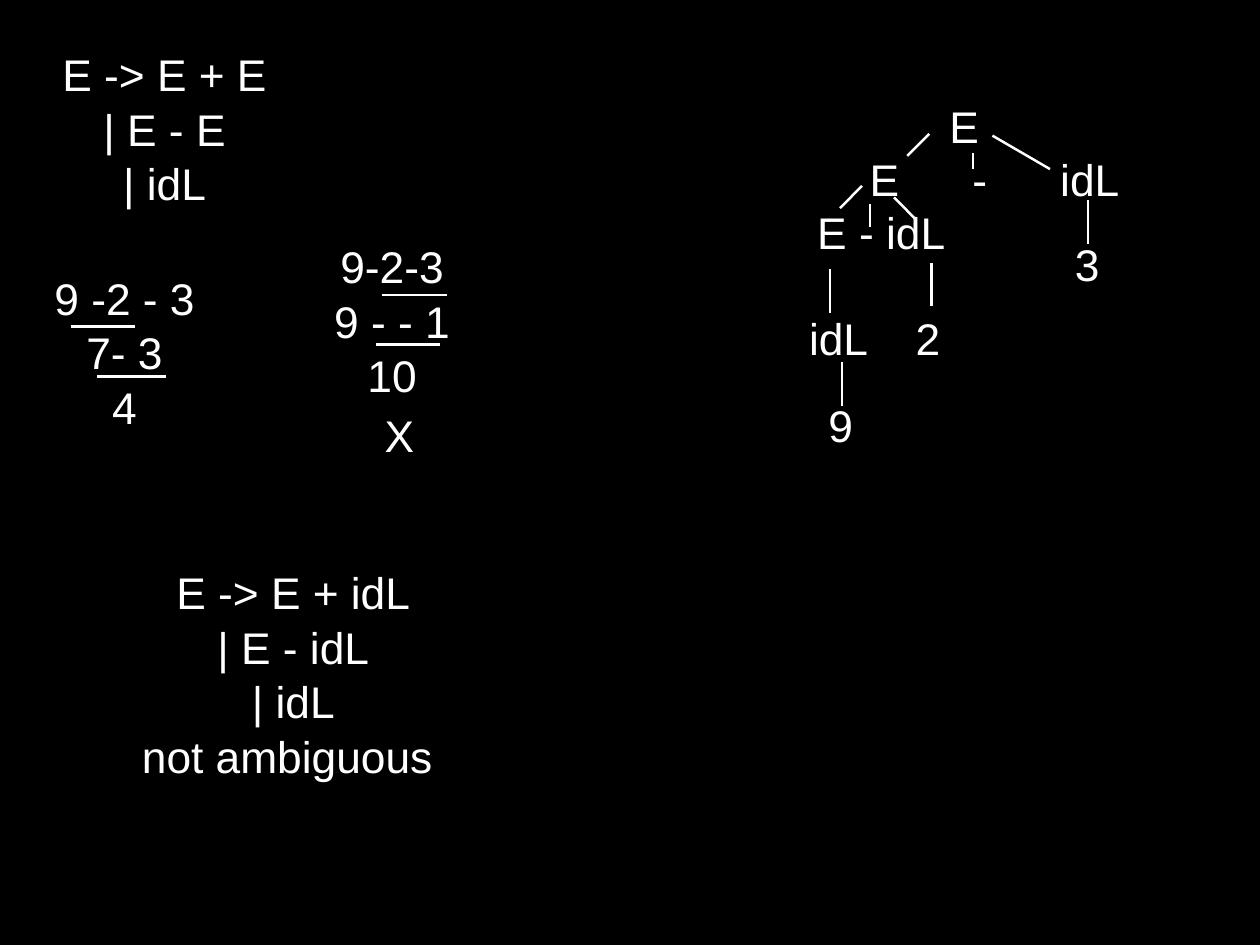
from dataclasses import dataclass

from lxml import etree
from pptx import Presentation
from pptx.dml.color import RGBColor
from pptx.enum import shapes, text
from pptx.oxml import ns
from pptx.util import Cm, Pt

COLORS = {"board": "000000", "chalk": "FFFFFF"}
LINE_HEIGHT = 1.52


@dataclass
class Label:
    """Centred lines of text; cx, cy is the middle of the block in cm."""
    cx: float
    cy: float
    content: str
    width: float = 2.4


@dataclass
class Stroke:
    """A straight line between two points in cm."""
    x1: float
    y1: float
    x2: float
    y2: float


# Grammars and evaluations
BLOCKS = [
    Label(4.72, 3.66, "E -> E + E\n| E - E\n| idL", 6.6),
    Label(3.57, 10.08, "9 -2 - 3\n7- 3\n4", 4.8),
    Label(11.24, 9.17, "9-2-3\n9 - - 1\n10", 4.2),
    Label(11.45, 12.46, "X"),
    Label(8.41, 19.3, "E -> E + idL\n| E - idL\n| idL\nnot ambiguous ", 9.6),
]
UNDERLINES = [
    Stroke(2.03, 9.37, 3.86, 9.37),
    Stroke(2.79, 10.8, 4.75, 10.8),
    Stroke(10.95, 8.46, 12.8, 8.46),
    Stroke(10.77, 9.88, 12.62, 9.88),
]

# Parse tree of 9 - 2 - 3: nodes by row, then branches
TREE_ROWS = [
    (3.62, [("E", 27.64)]),
    (5.14, [("E", 25.35), ("-", 28.09), ("idL", 31.24)]),
    (6.66, [("E", 23.85), ("-", 24.84), ("idL", 26.25)]),
    (7.56, [("3", 31.17)]),
    (9.7, [("idL", 24.04), ("2", 26.6)]),
    (12.18, [("9", 24.1)]),
]
NODES = [Label(x, y, name) for y, row in TREE_ROWS for name, x in row]
BRANCHES = [
    Stroke(26.64, 3.84, 26.01, 4.47),
    Stroke(27.89, 4.39, 27.89, 4.85),
    Stroke(28.45, 3.89, 30.1, 4.85),
    Stroke(24.71, 5.33, 24.08, 5.97),
    Stroke(24.94, 5.84, 24.94, 6.5),
    Stroke(25.63, 5.66, 26.26, 6.3),
    Stroke(31.19, 5.74, 31.19, 6.99),
    Stroke(23.8, 7.72, 23.8, 8.97),
    Stroke(26.7, 7.54, 26.7, 8.79),
    Stroke(24.13, 10.39, 24.13, 11.63),
]


def add_run(p, content: str, *, size: float = 36, font: str = "Arial",
            color: str = "chalk") -> None:
    r = p.add_run()
    r.text = content
    r.font.size = Pt(size)
    r.font.name = font
    r.font.color.rgb = RGBColor.from_string(COLORS[color])


def draw_label(slide, label: Label) -> None:
    lines = label.content.split("\n")
    height = LINE_HEIGHT * len(lines) + 0.3
    sp = slide.shapes.add_textbox(
        Cm(label.cx - label.width / 2), Cm(label.cy - height / 2),
        Cm(label.width), Cm(height))
    tf = sp.text_frame
    tf.word_wrap = True
    tf.vertical_anchor = text.MSO_ANCHOR.MIDDLE
    tf.margin_left = tf.margin_right = Cm(0.15)
    tf.margin_top = tf.margin_bottom = Cm(0.15)
    for i, line in enumerate(lines):
        p = tf.add_paragraph() if i else tf.paragraphs[0]
        p.alignment = text.PP_ALIGN.CENTER
        if len(lines) > 1:
            p.line_spacing = 1.03
        add_run(p, line)


def draw_stroke(slide, stroke: Stroke) -> None:
    line = slide.shapes.add_connector(
        shapes.MSO_CONNECTOR.STRAIGHT, Cm(stroke.x1), Cm(stroke.y1),
        Cm(stroke.x2), Cm(stroke.y2))
    line.line.color.rgb = RGBColor.from_string(COLORS["chalk"])
    line.line.width = Pt(2)
    etree.SubElement(line._element.spPr, ns.qn("a:effectLst"))


def main() -> None:
    prs = Presentation()
    prs.slide_width, prs.slide_height = Cm(36.12), Cm(27.1)
    slide = prs.slides.add_slide(prs.slide_layouts[6])
    fill = slide.background.fill
    fill.solid()
    fill.fore_color.rgb = RGBColor.from_string(COLORS["board"])

    for label in BLOCKS + NODES:
        draw_label(slide, label)
    for stroke in UNDERLINES + BRANCHES:
        draw_stroke(slide, stroke)
    prs.save("out.pptx")


if __name__ == "__main__":
    main()
